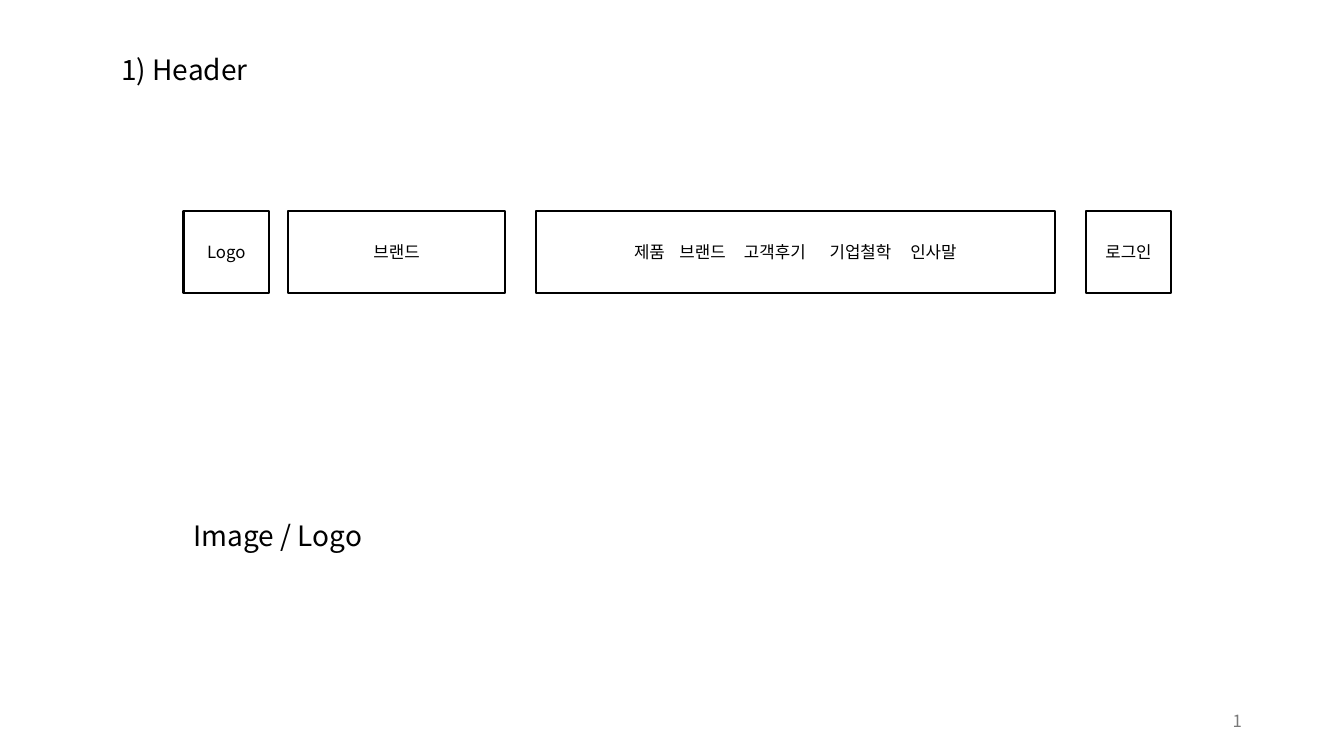
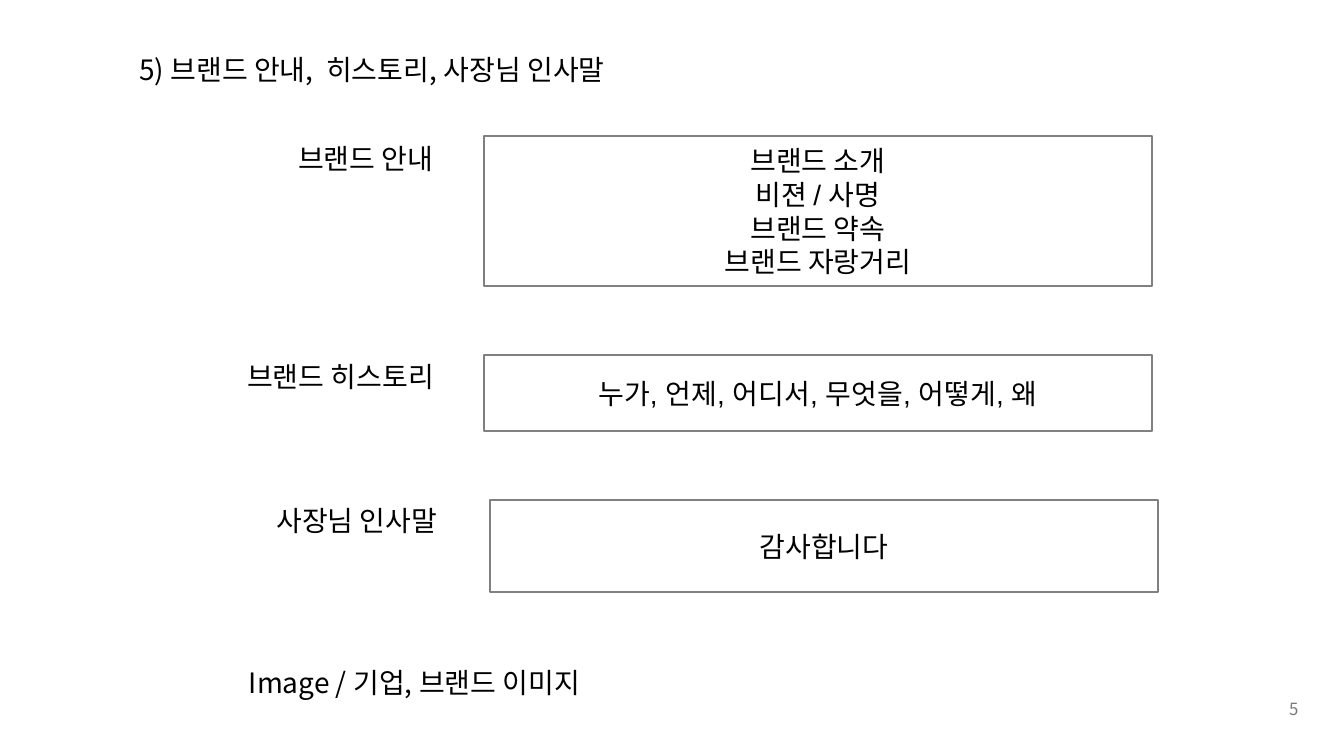
from dataclasses import dataclass

from lxml.etree import SubElement
from pptx import Presentation
from pptx.dml.color import RGBColor
from pptx.enum.shapes import MSO_SHAPE as Geo
from pptx.enum.text import MSO_ANCHOR as Anchor, MSO_AUTO_SIZE as Fit, PP_ALIGN as Align
from pptx.oxml.ns import qn
from pptx.slide import Slide
from pptx.text.text import TextFrame
from pptx.util import Inches, Length, Pt

# Shared look
NOTO, ARIAL = "Noto Sans CJK KR", "Arial"
BLACK, WHITE, GRAY, PALE = "000000", "FFFFFF", "808080", "797979"
LARGE, SMALL = 20, 12
LEADING = 1.2
LINE = 1.5

# Grid of square cells, 0.1 inch each
CELL = 0.1
COLS, ROWS = 133.33, 75
TEXT_H = 4.4


@dataclass(frozen=True)
class Area:
    col: float
    row: float
    cols: float
    rows: float = TEXT_H


@dataclass(frozen=True)
class Style:
    size: int = LARGE
    font: str = NOTO
    color: str = BLACK
    align: Align = Align.CENTER
    anchor: Anchor = Anchor.TOP


@dataclass(frozen=True)
class Box:
    area: Area
    text: str


@dataclass(frozen=True)
class Topic:
    label: Area
    name: str
    box: Box


HEAD = Style()
NOTE = Style(align=Align.LEFT)
LABEL = Style(font=ARIAL)
MENU = Style(size=SMALL, anchor=Anchor.MIDDLE)
PANEL = Style(font=ARIAL, anchor=Anchor.MIDDLE)
PAGE = Style(SMALL, NOTO, PALE, Align.RIGHT, Anchor.MIDDLE)


# Helpers
def grid(cells: float) -> Length:
    return Inches(cells * CELL)


def place(area: Area) -> tuple[Length, ...]:
    return tuple(grid(n) for n in (area.col, area.row, area.cols, area.rows))


def paint(text: str) -> RGBColor:
    return RGBColor.from_string(text)


def write(frame: TextFrame, text: str, style: Style) -> None:
    frame.text = text
    frame.word_wrap = True
    frame.auto_size = Fit.NONE
    frame.vertical_anchor = style.anchor
    for para in frame.paragraphs:
        para.alignment = style.align
        para.line_spacing = Pt(style.size * LEADING)
        font = para.font
        font.size = Pt(style.size)
        font.color.rgb = paint(style.color)
        font.name = style.font
        props = para._p.pPr.find(qn("a:defRPr"))
        SubElement(props, qn("a:ea"), typeface=NOTO)


def add_text(slide: Slide, area: Area, text: str, style: Style) -> None:
    write(slide.shapes.add_textbox(*place(area)).text_frame, text, style)


def add_box(slide: Slide, box: Box, style: Style, line: str) -> TextFrame:
    shape = slide.shapes.add_shape(Geo.RECTANGLE, *place(box.area))
    shape.shadow.inherit = False
    shape.fill.solid()
    shape.fill.fore_color.rgb = paint(WHITE)
    shape.line.color.rgb = paint(line)
    shape.line.width = Pt(LINE)
    write(shape.text_frame, box.text, style)
    return shape.text_frame


def set_tabs(frame: TextFrame, start: float, stops: tuple[float, ...]) -> None:
    frame.margin_left = grid(start)
    para = frame.paragraphs[0]
    para.alignment = Align.LEFT
    props = para._p.pPr
    tabs = SubElement(props, qn("a:tabLst"))
    for stop in stops:
        SubElement(tabs, qn("a:tab"), pos=str(grid(stop)), algn="l")
    props.find(qn("a:defRPr")).addprevious(tabs)


def add_page(deck: Presentation, title: str, width: float,
             number: str, spot: Area) -> Slide:
    slide = deck.slides.add_slide(deck.slide_layouts[5])
    head = slide.shapes.title
    head.left, head.top, head.width, head.height = place(Area(9.8, 4.7, width))
    write(head.text_frame, title, HEAD)
    add_text(slide, spot, number, PAGE)
    return slide


# Header slide
BAR_ROW, BAR_H = 20.9, 8.2
LINKS = ("제품", "브랜드", "고객후기", "기업철학", "인사말")
BAR = (
    Box(Area(18.2, BAR_ROW, 8.5, BAR_H), "Logo"),
    Box(Area(28.6, BAR_ROW, 21.5, BAR_H), "브랜드"),
    Box(Area(107.7, BAR_ROW, 8.5, BAR_H), "로그인"),
)
NAV = Box(Area(53.2, BAR_ROW, 51.5, BAR_H), "\t".join(LINKS))


def draw_header(deck: Presentation) -> None:
    slide = add_page(deck, "1) Header", 17, "1", Area(94.2, 69.5, 30, 4))
    for box in BAR:
        add_box(slide, box, MENU, BLACK)
    set_tabs(add_box(slide, NAV, MENU, BLACK), 9.7, (4.5, 10.9, 19.4, 27.4))
    add_text(slide, Area(18.2, 50.9, 28.5), "Image / Logo", NOTE)


# Brand slide
BOX_W = 66.3
TOPICS = (
    Topic(Area(27.8, 13.5, 17), "브랜드 안내",
          Box(Area(48, 13.5, BOX_W, 14.9),
              "브랜드 소개\n비젼 / 사명\n브랜드 약속\n브랜드 자랑거리")),
    Topic(Area(21.1, 35.2, 25.4), "브랜드 히스토리",
          Box(Area(48, 35.2, BOX_W, 7.6),
              "누가, 언제, 어디서, 무엇을, 어떻게, 왜")),
    Topic(Area(22.7, 49.5, 25.4), "사장님 인사말",
          Box(Area(48.6, 49.6, BOX_W, 9.1), "감사합니다")),
)


def draw_brand(deck: Presentation) -> None:
    slide = add_page(deck, "5) 브랜드 안내,  히스토리, 사장님 인사말", 54.2,
                     "5", Area(99.8, 68.3, 30, 4))
    for topic in TOPICS:
        add_text(slide, topic.label, topic.name, LABEL)
        add_box(slide, topic.box, PANEL, GRAY)
    add_text(slide, Area(23.7, 65.5, 45.5), "Image / 기업, 브랜드 이미지", NOTE)


def main() -> None:
    deck = Presentation()
    deck.slide_width, deck.slide_height = grid(COLS), grid(ROWS)
    draw_header(deck)
    draw_brand(deck)
    deck.save("out.pptx")


if __name__ == "__main__":
    main()
